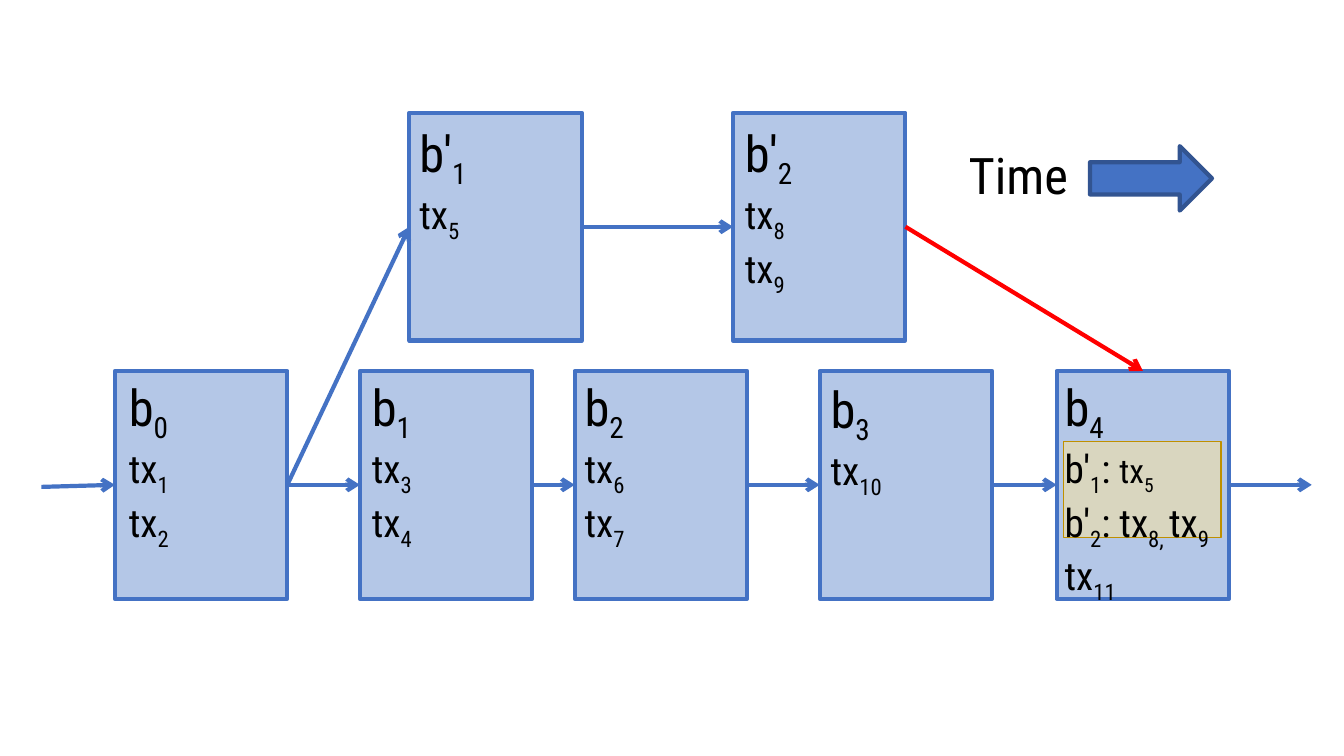
from dataclasses import dataclass

from lxml import etree
from pptx import Presentation
from pptx.dml.color import RGBColor
from pptx.enum.shapes import MSO_CONNECTOR, MSO_SHAPE
from pptx.enum.text import MSO_AUTO_SIZE
from pptx.oxml.ns import qn
from pptx.util import Inches, Pt

RECTANGLE, RIGHT_ARROW = MSO_SHAPE.RECTANGLE, MSO_SHAPE.RIGHT_ARROW
STRAIGHT = MSO_CONNECTOR.STRAIGHT
FIT_SHAPE = MSO_AUTO_SIZE.SHAPE_TO_FIT_TEXT
TOP, LEFT, RIGHT = 0, 1, 3  # connection sites of a rectangle


@dataclass(frozen=True)
class Theme:
    font: str = "Roboto Condensed"
    title: int = 36
    body: int = 28
    small: int = 24
    stroke: int = 3
    text: str = "000000"
    block: str = "B4C7E7"
    accent: str = "4472C4"
    accent_dark: str = "325491"
    merge: str = "FF0000"
    highlight: str = "FFE699"
    highlight_line: str = "BF9000"


@dataclass(frozen=True)
class Span:
    text: str
    size: int
    lowered: bool


@dataclass(frozen=True)
class Area:
    """Place and size in percent of the page."""
    left: float
    top: float
    width: float
    height: float


@dataclass(frozen=True)
class Block:
    name: str
    left: float
    top: float
    lines: list[list[Span]]
    shift_x: float = 0
    shift_y: float = 0


@dataclass(frozen=True)
class Link:
    start: str
    end: str
    end_site: int = LEFT
    color: str = Theme.accent


THEME = Theme()
BLOCK_WIDTH, BLOCK_HEIGHT = 12.83, 30.13
FORK_ROW, MAIN_ROW = 14.93, 49.07


def spans(text: str, size: int = THEME.body) -> list[Span]:
    """Split at bars; every second piece is a subscript."""
    return [Span(piece, size, index % 2 == 1)
            for index, piece in enumerate(text.split("|")) if piece]


def lines(title: str, *entries: str) -> list[list[Span]]:
    return [spans(title, THEME.title), *(spans(entry) for entry in entries)]


BLOCKS = [
    Block("b'1", 30.46, FORK_ROW, lines("b'|1", "tx|5"), 0, 0.53),
    Block("b0", 8.55, MAIN_ROW, lines("b|0", "tx|1", "tx|2"), 0.3),
    Block("b1", 26.78, MAIN_ROW, lines("b|1", "tx|3", "tx|4"), 0.15),
    Block("b2", 42.76, MAIN_ROW, lines("b|2", "tx|6", "tx|7")),
    Block("b3", 60.99, MAIN_ROW, lines("b|3", "tx|10"), 0.07, 0.27),
    Block("b'2", 54.54, FORK_ROW, lines("b'|2", "tx|8", "tx|9"), 0.15, 0.53),
    Block("b4", 78.62, MAIN_ROW,
          [spans("b|4", THEME.title),
           spans("b'|1|: ") + spans("tx|5", THEME.small),
           spans("b'|2|: tx|8, |tx|9"),
           spans("tx|11")], -0.15),
]
LINKS = [
    Link("b0", "b1"), Link("b1", "b2"), Link("b2", "b3"), Link("b3", "b4"),
    Link("b0", "b'1"), Link("b'1", "b'2"),
    Link("b'2", "b4", TOP, THEME.merge),
]

deck = Presentation()
deck.slide_width, deck.slide_height = Inches(13.33), Inches(7.5)
page = deck.slides.add_slide(deck.slide_layouts[6])


def across(share: float) -> int:
    return round(deck.slide_width * share / 100)


def down(share: float) -> int:
    return round(deck.slide_height * share / 100)


def place(area: Area) -> tuple[int, int, int, int]:
    return across(area.left), down(area.top), across(area.width), down(area.height)


def add_box(kind: int, area: Area, fill: str, line: str, weight: float):
    box = page.shapes.add_shape(kind, *place(area))
    box.shadow.inherit = False
    box.fill.solid()
    box.fill.fore_color.rgb = RGBColor.from_string(fill)
    box.line.color.rgb = RGBColor.from_string(line)
    box.line.width = Pt(weight)
    return box


def add_label(area: Area, content: list[list[Span]]) -> None:
    frame = page.shapes.add_textbox(*place(area)).text_frame
    frame.word_wrap = True
    frame.auto_size = FIT_SHAPE
    for index, line in enumerate(content):
        para = frame.add_paragraph() if index else frame.paragraphs[0]
        para.font.name = THEME.font
        para.font.size = Pt(line[0].size)
        para.font.color.rgb = RGBColor.from_string(THEME.text)
        for span in line:
            run = para.add_run()
            run.text = span.text
            if span.size != line[0].size:
                run.font.size = Pt(span.size)
            if span.lowered:
                run._r.get_or_add_rPr().set("baseline", "-25000")


def add_arrow(color: str, start: tuple[float, float] = (0, 0),
              end: tuple[float, float] = (0, 0)):
    arrow = page.shapes.add_connector(STRAIGHT, across(start[0]), down(start[1]),
                                      across(end[0]), down(end[1]))
    arrow.line.color.rgb = RGBColor.from_string(color)
    arrow.line.width = Pt(THEME.stroke)
    etree.SubElement(arrow.line._get_or_add_ln(), qn("a:tailEnd"), type="arrow")
    etree.SubElement(arrow._element.spPr, qn("a:effectLst"))
    return arrow


# Time direction
add_box(RIGHT_ARROW, Area(81.1, 19.33, 9.08, 8.53),
        THEME.accent, THEME.accent_dark, THEME.stroke)
add_label(Area(71.34, 18.4, 11.4, 7.2), lines("Time"))

# Blocks of both chains
boxes = {block.name: add_box(RECTANGLE,
                             Area(block.left, block.top, BLOCK_WIDTH, BLOCK_HEIGHT),
                             THEME.block, THEME.accent, THEME.stroke)
         for block in BLOCKS}

# Arrows entering and leaving the main chain, then links between blocks
middle = MAIN_ROW + BLOCK_HEIGHT / 2
add_arrow(THEME.accent, (3.08, middle + 0.27), (8.55, middle))
add_arrow(THEME.accent, (78.62 + BLOCK_WIDTH, middle), (97.6, middle))
for link in LINKS:
    arrow = add_arrow(link.color)
    arrow.begin_connect(boxes[link.start], RIGHT)
    arrow.end_connect(boxes[link.end], link.end_site)

# Merged fork transactions
merged = add_box(RECTANGLE, Area(79.14, 58.4, 11.7, 12.67),
                 THEME.highlight, THEME.highlight_line, 1)
tint = merged._element.spPr.find(qn("a:solidFill"))[0]
etree.SubElement(tint, qn("a:alpha"), val="50000")

# Block contents
for block in BLOCKS:
    add_label(Area(block.left + block.shift_x, block.top + block.shift_y,
                   BLOCK_WIDTH, BLOCK_HEIGHT), block.lines)

deck.save("out.pptx")
